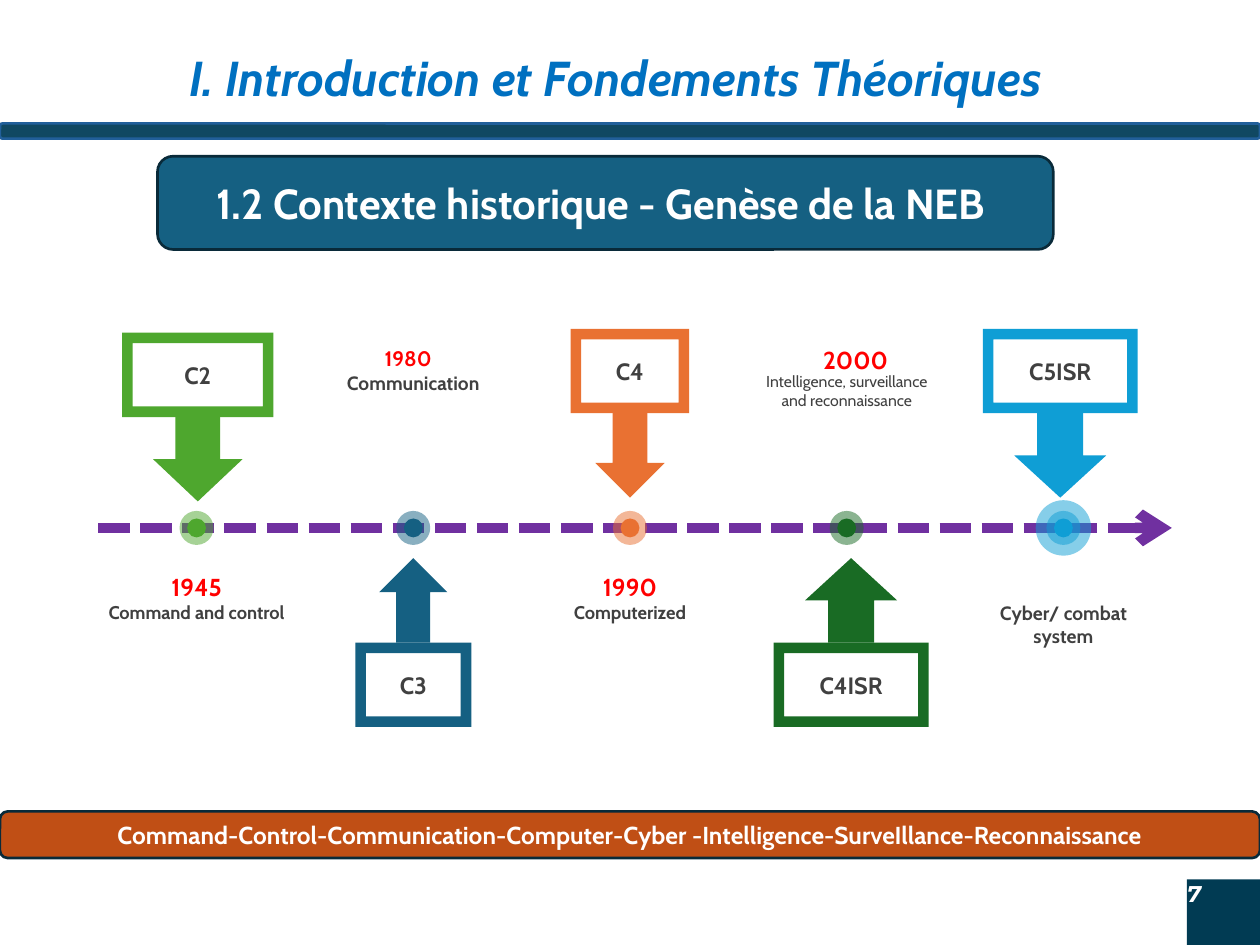
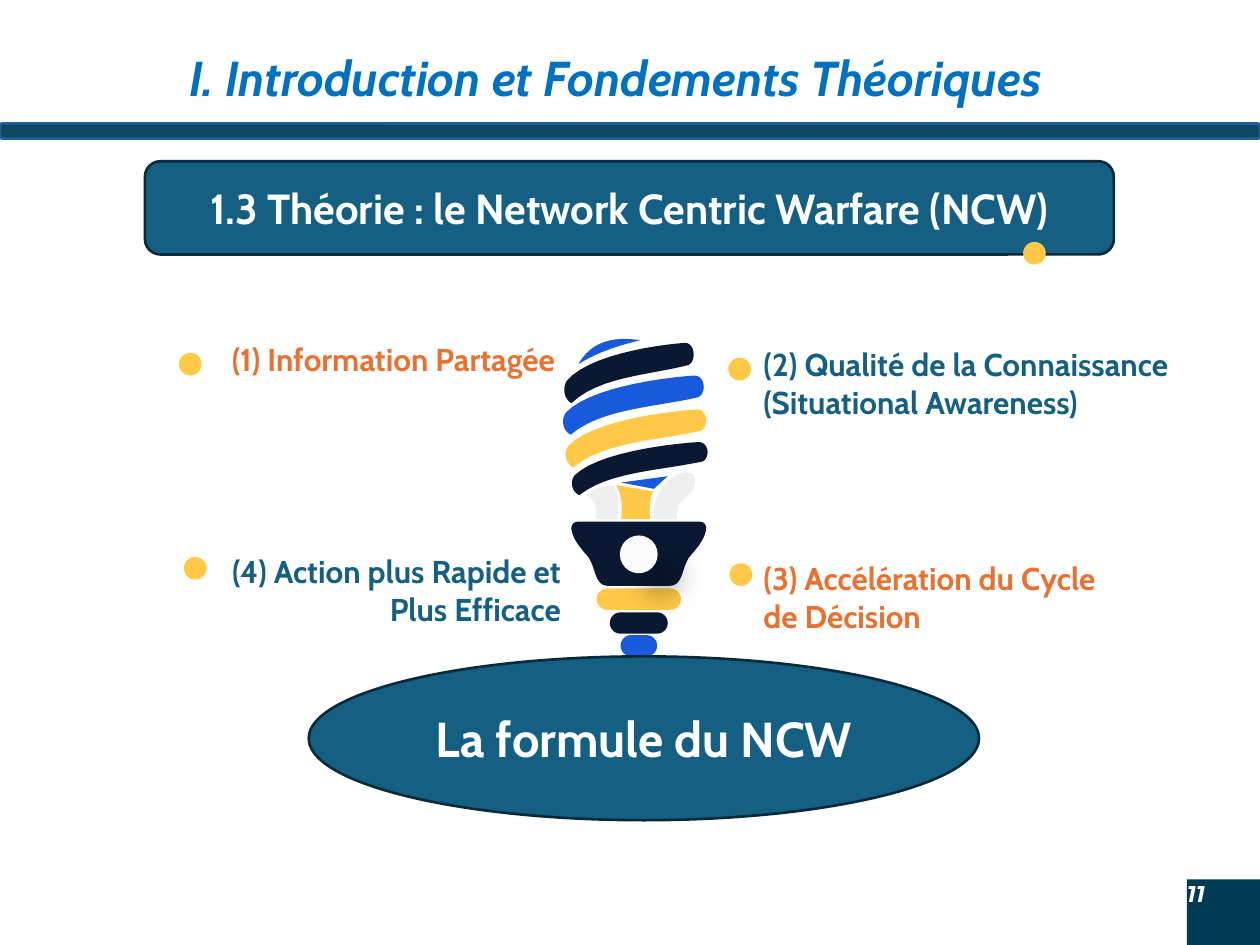
from lxml import etree
from pptx import Presentation
from pptx import util as u
from pptx.dml.color import RGBColor
from pptx.enum import dml, shapes, text
from pptx.oxml import ns

PX = 9144  # EMU per px, 100 px to the inch
SLIDE_SIZE = (1000, 750)
FONT, NUMBER_FONT = "Cabin", "Montserrat"

WHITE = RGBColor.from_string("FFFFFF")
GREY = RGBColor.from_string("404040")
RED = RGBColor.from_string("FF0000")
TITLE_BLUE = RGBColor.from_string("0070C0")
BAND = RGBColor.from_string("104862")
BAND_EDGE = RGBColor.from_string("215F9A")
NUMBER_BACK = RGBColor.from_string("013B53")
TEAL = RGBColor.from_string("156082")
EDGE = RGBColor.from_string("092A39")
PURPLE = RGBColor.from_string("7030A0")
GREEN = RGBColor.from_string("4EA72E")
DARK_GREEN = RGBColor.from_string("196B24")
ORANGE = RGBColor.from_string("E97132")
RUST = RGBColor.from_string("C04F15")
SKY = RGBColor.from_string("0F9ED5")
YELLOW = RGBColor.from_string("FFC947")
NAVY = RGBColor.from_string("0A1931")
BLUE = RGBColor.from_string("185ADB")
PALE = RGBColor.from_string("EFEFEF")
BULB_HOLE = RGBColor.from_string("FCFCFC")

KIND = shapes.MSO_SHAPE
LEFT, CENTER, RIGHT = text.PP_ALIGN.LEFT, text.PP_ALIGN.CENTER, text.PP_ALIGN.RIGHT
TOP, MIDDLE = text.MSO_ANCHOR.TOP, text.MSO_ANCHOR.MIDDLE

TITLE = "I. Introduction et Fondements Théoriques "

# Timeline: label, colour, frame left, top and width, year, meaning, meaning size
MILESTONES = [
    ("C2", GREEN, 97, 264, 120, "1945", "Command and control", 10.5),
    ("C3", TEAL, 282, 510, 92, "1980", "Communication", 11),
    ("C4", ORANGE, 453, 261, 94, "1990", "Computerized", 10.5),
    ("C4ISR", DARK_GREEN, 614, 510, 123, "2000",
     "Intelligence, surveillance and reconnaissance", 9),
    ("C5ISR", SKY, 780, 261, 123, None, "Cyber/ combat system", 11),
]
YEAR_SIZES = {"1980": 12}
YEAR_SHIFTS = {"1980": -4, "2000": 7}
LIGHT_SIZE = 9  # captions of this size are not bold
AXIS_Y, AXIS_START, AXIS_END = 419, 78, 930
FIRST_DOT_X, DOT_STEP = 156, 172
DOT_SIZE, RING_SIZE, LAST_RING_SIZE = 15, 27, 44
FRAME_HEIGHT = 67
ARROW_SHARE = 0.59  # arrow width as a share of the frame width
CAPTION_WIDTH, CAPTION_HEIGHT = 168, 34
MEANING_ABOVE, MEANING_BELOW = 290, 472
YEAR_RISE_ABOVE, YEAR_RISE_BELOW = 21, 23
ACRONYM = "Command-Control-Communication-Computer-Cyber -Intelligence-SurveIllance-Reconnaissance"

# Formula: words, box, colour, alignment, wrap
FORMULA_TERMS = [
    ("(2) Qualité de la Connaissance (Situational Awareness)", (596, 269, 461, 71), TEAL, LEFT, True),
    ("(3) Accélération du Cycle de Décision", (596, 439, 291, 71), ORANGE, LEFT, True),
    ("(1) Information Partagée ", (156, 265, 300, 40), ORANGE, RIGHT, False),
    ("(4) Action plus Rapide et Plus Efficace", (157, 433, 298, 71), TEAL, RIGHT, True),
]
BULLET_SIZE = 18
BULLET_CORNERS = [(579, 447), (812, 192), (578, 284), (142, 280), (146, 442)]

# Bulb foot: top, width, colour
BULB_X, FOOT_HEIGHT = 507, 17
BULB_FOOT = [(467, 67, YELLOW), (486, 46, NAVY), (504, 29, BLUE)]

# Outlines: a start point, then lines (2 numbers) and Bézier curves (6 numbers).
# The ribbon is drawn once in a box of RIBBON_SIZE and fitted to each place.
RIBBON_SIZE = (112, 48)
RIBBON = [(6, 48), (30, 28, 70, 27, 107, 19), (114, 16, 113, 2, 104, 2),
          (75, 4, 20, 12, 2, 31), (-2, 37, 0, 45, 6, 48)]
RIBBON_PLACES = [(BLUE, 447, 296, 112, 49), (YELLOW, 449, 323, 112, 48),
                 (NAVY, 454, 349, 108, 44), (NAVY, 448, 270, 103, 50)]
SOCKET_TOP = 414
SOCKET_HALF = [(48, 0), (54, 0, 54, 6, 53, 8), (51, 18, 39, 28, 39, 30),
               (34, 38, 35, 51, 24, 51)]
BULB_PARTS = [
    (PALE, [(518, 412), (519, 391, 530, 376, 545, 375), (556, 375, 552, 390, 545, 394),
            (537, 400, 537, 406, 537, 412)]),
    (YELLOW, [(489, 385), (518, 390), (516, 397, 515, 404, 516, 412), (493, 412),
              (494, 402, 494, 394, 489, 385)]),
    (PALE, [(465, 393), (474, 386, 480, 385, 487, 386), (492, 395, 491, 404, 490, 412),
            (473, 412), (474, 404, 473, 397, 465, 393)]),
    (BLUE, [(508, 270), (493, 274, 477, 278, 459, 289), (470, 270, 488, 267, 508, 270)]),
    (BLUE, [(530, 378), (493, 383), (519, 388)]),
]
CURVE_STEPS = 12


def emu(*lengths):
    return [u.Emu(round(length * PX)) for length in lengths]


def write(shape, words, size, color, align=CENTER, anchor=MIDDLE, bold=True,
          italic=False, font=FONT, wrap=True, inset=None):
    frame = shape.text_frame
    frame.word_wrap = wrap
    frame.vertical_anchor = anchor
    if inset is not None:
        frame.margin_left = frame.margin_right = frame.margin_top = frame.margin_bottom = inset
    paragraph = frame.paragraphs[0]
    paragraph.alignment = align
    run = paragraph.add_run()
    run.text = words
    run.font.name, run.font.size = font, u.Pt(size)
    run.font.bold, run.font.italic = bold, italic
    run.font.color.rgb = color


def paint(shape, fill, edge=None):
    shape.shadow.inherit = False
    shape.fill.solid()
    shape.fill.fore_color.rgb = fill
    if edge is None:
        shape.line.fill.background()
    else:
        shape.line.color.rgb = edge
        shape.line.width = u.Pt(1.5)
    return shape


def add_preset(parent, kind, box, fill, edge=None):
    return paint(parent.shapes.add_shape(kind, *emu(*box)), fill, edge)


def add_disc(parent, x, y, size, fill):
    """Circle around the centre (x, y)."""
    return add_preset(parent, KIND.OVAL, (x - size / 2, y - size / 2, size, size), fill)


def add_label(slide, words, box, size, color, **style):
    label = slide.shapes.add_textbox(*emu(*box))
    write(label, words, size, color, anchor=TOP, **style)
    label.text_frame.auto_size = text.MSO_AUTO_SIZE.SHAPE_TO_FIT_TEXT


def make_translucent(shape, percent):
    color = shape._element.spPr.find(ns.qn("a:solidFill"))[0]
    etree.SubElement(color, ns.qn("a:alpha"), val=str(percent * 1000))


def add_soft_shadow(shape):
    effects = shape._element.spPr.find(ns.qn("a:effectLst"))
    shadow = etree.SubElement(effects, ns.qn("a:outerShdw"), blurRad=str(u.Pt(15)),
                              dist=str(u.Pt(18)), dir=str(45 * 60000), rotWithShape="0")
    color = etree.SubElement(shadow, ns.qn("a:srgbClr"), val="000000")
    etree.SubElement(color, ns.qn("a:alpha"), val="30000")


def trace(outline):
    """Points along an outline of lines and Bézier curves."""
    points = [outline[0]]
    for segment in outline[1:]:
        if len(segment) == 2:
            points.append(segment)
            continue
        x0, y0 = points[-1]
        x1, y1, x2, y2, x3, y3 = segment
        for step in range(1, CURVE_STEPS + 1):
            t = step / CURVE_STEPS
            a, b, c, d = (1 - t) ** 3, 3 * t * (1 - t) ** 2, 3 * t * t * (1 - t), t ** 3
            points.append((a * x0 + b * x1 + c * x2 + d * x3,
                           a * y0 + b * y1 + c * y2 + d * y3))
    return points


def add_polygon(parent, points, fill):
    start, *rest = [emu(*point) for point in points]
    builder = parent.shapes.build_freeform(*start, scale=1.0)
    builder.add_line_segments(rest, close=True)
    paint(builder.convert_to_shape(), fill)


def add_base_slide(presentation, number, heading, heading_box):
    slide = presentation.slides.add_slide(presentation.slide_layouts[6])
    add_preset(slide, KIND.ROUNDED_RECTANGLE, (0, 98, 1000, 12), BAND, BAND_EDGE)
    add_label(slide, TITLE, (82, 33, 821, 57), 28, TITLE_BLUE, italic=True)
    corner = add_preset(slide, KIND.RECTANGLE, (942, 698, 58, 52), NUMBER_BACK)
    write(corner, number, 13, WHITE, LEFT, TOP, italic=True, font=NUMBER_FONT,
          wrap=False, inset=0)
    banner = add_preset(slide, KIND.ROUNDED_RECTANGLE, heading_box, TEAL, EDGE)
    write(banner, heading, 24, WHITE)
    return slide


def add_axis(slide):
    axis = slide.shapes.add_connector(
        shapes.MSO_CONNECTOR.STRAIGHT, *emu(AXIS_START, AXIS_Y, AXIS_END, AXIS_Y))
    axis.line.color.rgb = PURPLE
    axis.line.width = u.Pt(6)
    axis.line.dash_style = dml.MSO_LINE.SQUARE_DOT
    etree.SubElement(axis.line._get_or_add_ln(), ns.qn("a:tailEnd"), type="arrow")
    etree.SubElement(axis._element.spPr, ns.qn("a:effectLst"))


def add_captions(slide, x, frame_below, year, meaning, size):
    """Year and meaning, across the axis from the frame."""
    top = MEANING_ABOVE if frame_below else MEANING_BELOW
    left = x - CAPTION_WIDTH / 2
    add_label(slide, meaning, (left, top, CAPTION_WIDTH, CAPTION_HEIGHT), size, GREY,
              bold=size > LIGHT_SIZE)
    if year:
        rise = YEAR_RISE_ABOVE if frame_below else YEAR_RISE_BELOW
        box = (left + YEAR_SHIFTS.get(year, 0), top - rise, CAPTION_WIDTH, CAPTION_HEIGHT)
        add_label(slide, year, box, YEAR_SIZES.get(year, 14), RED)


def add_milestone(slide, x, rings, label, color, left, top, width, *captions):
    below = top > AXIS_Y
    add_captions(slide, x, below, *captions)
    frame = add_preset(slide, KIND.FRAME, (left, top, width, FRAME_HEIGHT), color)
    write(frame, label, 13.5, GREY, inset=0)
    arrow_width = round(width * ARROW_SHARE)
    arrow_top = top - FRAME_HEIGHT if below else top + FRAME_HEIGHT
    add_preset(slide, KIND.UP_ARROW if below else KIND.DOWN_ARROW,
               (left + (width - arrow_width) / 2, arrow_top, arrow_width, FRAME_HEIGHT), color)
    for ring in rings:
        make_translucent(add_disc(slide, x, AXIS_Y, ring, color), 50)
    add_disc(slide, x, AXIS_Y, DOT_SIZE, color)


def add_bulb(slide):
    bulb = slide.shapes.add_group_shape()
    for top, width, color in BULB_FOOT:
        box = (BULB_X - width / 2, top, width, FOOT_HEIGHT)
        add_preset(bulb, KIND.ROUNDED_RECTANGLE, box, color).adjustments[0] = 0.5
    ribbon = trace(RIBBON)
    for color, left, top, width, height in RIBBON_PLACES:
        x_scale, y_scale = width / RIBBON_SIZE[0], height / RIBBON_SIZE[1]
        add_polygon(bulb, [(left + x * x_scale, top + y * y_scale) for x, y in ribbon], color)
    for color, outline in BULB_PARTS:
        add_polygon(bulb, trace(outline), color)
    half = trace(SOCKET_HALF)
    socket = half + [(-x, y) for x, y in reversed(half)]
    add_polygon(bulb, [(BULB_X + x, SOCKET_TOP + y) for x, y in socket], NAVY)
    add_soft_shadow(add_disc(bulb, BULB_X, 440, 30, BULB_HOLE))


def build_history(presentation):
    slide = add_base_slide(presentation, "7", "1.2 Contexte historique - Genèse de la NEB ",
                           (125, 124, 711, 74))
    add_axis(slide)
    for index, milestone in enumerate(MILESTONES):
        is_last = index == len(MILESTONES) - 1
        rings = [LAST_RING_SIZE, RING_SIZE] if is_last else [RING_SIZE]
        add_milestone(slide, FIRST_DOT_X + index * DOT_STEP, rings, *milestone)
    strip = add_preset(slide, KIND.ROUNDED_RECTANGLE, (0, 644, 1000, 37), RUST, EDGE)
    write(strip, ACRONYM, 14, WHITE)


def build_theory(presentation):
    slide = add_base_slide(presentation, "11", "1.3 Théorie : le Network Centric Warfare (NCW)",
                           (115, 128, 769, 74))
    for left, top in BULLET_CORNERS:
        add_preset(slide, KIND.OVAL, (left, top, BULLET_SIZE, BULLET_SIZE), YELLOW)
    add_bulb(slide)
    for words, box, color, align, wrap in FORMULA_TERMS:
        add_label(slide, words, box, 18, color, align=align, wrap=wrap)
    base = add_preset(slide, KIND.OVAL, (245, 521, 532, 130), TEAL, EDGE)
    write(base, "La formule du NCW", 28, WHITE)


def main():
    presentation = Presentation()
    presentation.slide_width, presentation.slide_height = emu(*SLIDE_SIZE)
    build_history(presentation)
    build_theory(presentation)
    presentation.save("out.pptx")


if __name__ == "__main__":
    main()
